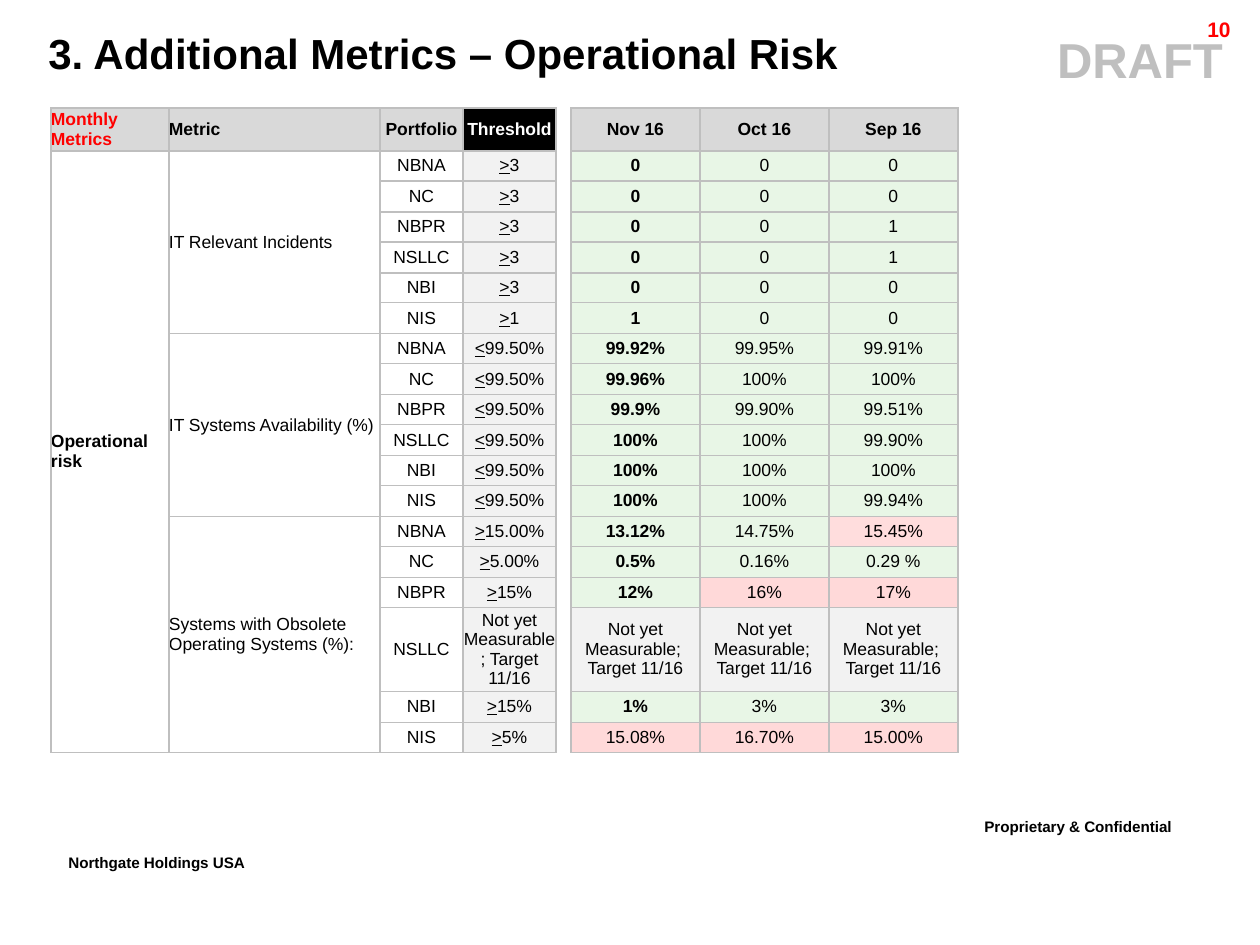
from lxml.etree import SubElement
from pptx import Presentation
from pptx.dml.color import RGBColor
from pptx.enum.text import MSO_ANCHOR, PP_ALIGN
from pptx.oxml.ns import qn
from pptx.util import Emu, Pt

PX = 914400 / 126
COLORS = {
    "black": "000000", "white": "FFFFFF", "red": "FF0000", "grid": "BFBFBF",
    "header": "D9D9D9", "neutral": "F2F2F2", "green": "E8F6E6",
    "breach": "FFD9D9", "pale_breach": "FFDDDD",
}


def style(paragraph, size, color="black", bold=True, align=PP_ALIGN.LEFT):
    paragraph.alignment = align
    paragraph.font.name = "Arial"
    paragraph.font.size = Pt(size)
    paragraph.font.bold = bold
    paragraph.font.color.rgb = RGBColor.from_string(COLORS[color])


def fill_cell(cell, text, fill=None, color="black", bold=False, align=PP_ALIGN.CENTER):
    if fill:
        cell.fill.solid()
        cell.fill.fore_color.rgb = RGBColor.from_string(COLORS[fill])
    lines = text.split("\n")
    for index, line in enumerate(lines):
        paragraph = cell.text_frame.paragraphs[0] if index == 0 else cell.text_frame.add_paragraph()
        style(paragraph, 10, color, bold, align)
        if not text.startswith("Not yet"):
            paragraph.space_before = paragraph.space_after = Pt(2)
        if line[0] in "<>":
            sign = paragraph.add_run()
            sign.text = line[0]
            sign.font.underline = True
            line = line[1:]
        paragraph.add_run().text = line


prs = Presentation()
prs.slide_width = Emu(round(1260 * PX))
prs.slide_height = Emu(round(945 * PX))
slide = prs.slides.add_slide(prs.slide_layouts[6])

labels = [
    ("Proprietary & Confidential", 972, 808, 275, 44, 15, "black", PP_ALIGN.LEFT),
    ("Northgate Holdings USA", 56, 844, 241, 44, 15, "black", PP_ALIGN.LEFT),
    ("DRAFT", 145, 23, 1108, 72, 28, "grid", PP_ALIGN.CENTER),
    ("10", 1123, 14, 120, 30, 12, "red", PP_ALIGN.RIGHT),
    ("3. Additional Metrics – Operational Risk", 36, 21, 1178, 63, 24, "black", PP_ALIGN.LEFT),
]
for text, left, top, width, height, size, color, align in labels:
    box = slide.shapes.add_textbox(*(Emu(round(n * PX)) for n in (left, top, width, height)))
    box.text_frame.word_wrap = True
    paragraph = box.text_frame.paragraphs[0]
    style(paragraph, size, color, align=align)
    run = paragraph.add_run()
    run.text = text
    if size == 15:
        run.font._element.set("baseline", "30000")
    if text == "DRAFT":
        paragraph.level = 8
        indent = paragraph._p.get_or_add_pPr()
        indent.set("marL", str(round(882 * PX)))
        indent.set("indent", "0")
    if text == "10":
        paragraph.line_spacing = 0.86

portfolios = ["NBNA", "NC", "NBPR", "NSLLC", "NBI", "NIS"]
months = ["Nov 16", "Oct 16", "Sep 16"]
pending = "Not yet\nMeasurable; \nTarget 11/16"
metrics = [
    ("IT Relevant Incidents", [
        (">3", "0", "0", "0"),
        (">3", "0", "0", "0"),
        (">3", "0", "0", "1"),
        (">3", "0", "0", "1"),
        (">3", "0", "0", "0"),
        (">1", "1", "0", "0"),
    ]),
    ("IT Systems Availability (%)", [
        ("<99.50%", "99.92%", "99.95%", "99.91%"),
        ("<99.50%", "99.96%", "100%", "100%"),
        ("<99.50%", "99.9%", "99.90%", "99.51%"),
        ("<99.50%", "100%", "100%", "99.90%"),
        ("<99.50%", "100%", "100%", "100%"),
        ("<99.50%", "100%", "100%", "99.94%"),
    ]),
    ("Systems with Obsolete Operating Systems (%):", [
        (">15.00%", "13.12%", "14.75%", "15.45%"),
        (">5.00%", "0.5%", "0.16%", "0.29 %"),
        (">15%", "12%", "16%", "17%"),
        ("Not yet Measurable; Target 11/16", pending, pending, pending),
        (">15%", "1%", "3%", "3%"),
        (">5%", "15.08%", "16.70%", "15.00%"),
    ]),
]
special_fills = {
    "15.45%": "pale_breach", "16%": "breach", "17%": "breach", "15.08%": "breach",
    "16.70%": "breach", "15.00%": "breach", pending: "neutral",
}

column_widths = [118, 211, 83, 93, 15, 129, 129, 129]
row_heights = [43] + [30 + row % 2 for row in range(15)] + [84, 31, 30]
table = slide.shapes.add_table(
    len(row_heights), len(column_widths), Emu(round(51 * PX)), Emu(round(108 * PX)),
    Emu(round(sum(column_widths) * PX)), Emu(round(sum(row_heights) * PX))).table
table.first_row = table.horz_banding = False
for column, width in zip(table.columns, column_widths):
    column.width = Emu(round(width * PX))
for row, height in zip(table.rows, row_heights):
    row.height = Emu(round(height * PX))

for row in range(len(row_heights)):
    for col in range(len(column_widths)):
        cell = table.cell(row, col)
        cell.margin_left = cell.margin_right = cell.margin_top = cell.margin_bottom = 0
        cell.vertical_anchor = MSO_ANCHOR.MIDDLE
        SubElement(cell.text_frame.paragraphs[0]._p, qn("a:endParaRPr"), sz="1000")
        properties = cell._tc.get_or_add_tcPr()
        for edge in ("lnL", "lnR", "lnT", "lnB"):
            line = SubElement(properties, qn(f"a:{edge}"), w="12700")
            if col == 4 and edge in ("lnT", "lnB"):
                SubElement(line, qn("a:noFill"))
            else:
                SubElement(SubElement(line, qn("a:solidFill")), qn("a:srgbClr"), val=COLORS["grid"])
        cell.fill.background()

fill_cell(table.cell(0, 0), "Monthly Metrics", "header", "red", True, PP_ALIGN.LEFT)
fill_cell(table.cell(0, 1), "Metric", "header", bold=True, align=PP_ALIGN.LEFT)
fill_cell(table.cell(0, 2), "Portfolio", "header", bold=True)
fill_cell(table.cell(0, 3), "Threshold", "black", "white", True)
for col, month in enumerate(months, 5):
    fill_cell(table.cell(0, col), month, "header", bold=True)

table.cell(1, 0).merge(table.cell(18, 0))
fill_cell(table.cell(1, 0), "Operational risk", bold=True, align=PP_ALIGN.LEFT)
for group, (metric, results) in enumerate(metrics):
    first = 1 + group * len(portfolios)
    table.cell(first, 1).merge(table.cell(first + len(portfolios) - 1, 1))
    fill_cell(table.cell(first, 1), metric, align=PP_ALIGN.LEFT)
    for row, (portfolio, (threshold, *values)) in enumerate(zip(portfolios, results), first):
        fill_cell(table.cell(row, 2), portfolio)
        fill_cell(table.cell(row, 3), threshold, "neutral")
        for col, value in enumerate(values, 5):
            fill = special_fills.get(value, "green")
            fill_cell(table.cell(row, col), value, fill, bold=col == 5 and fill == "green")

prs.save("out.pptx")
